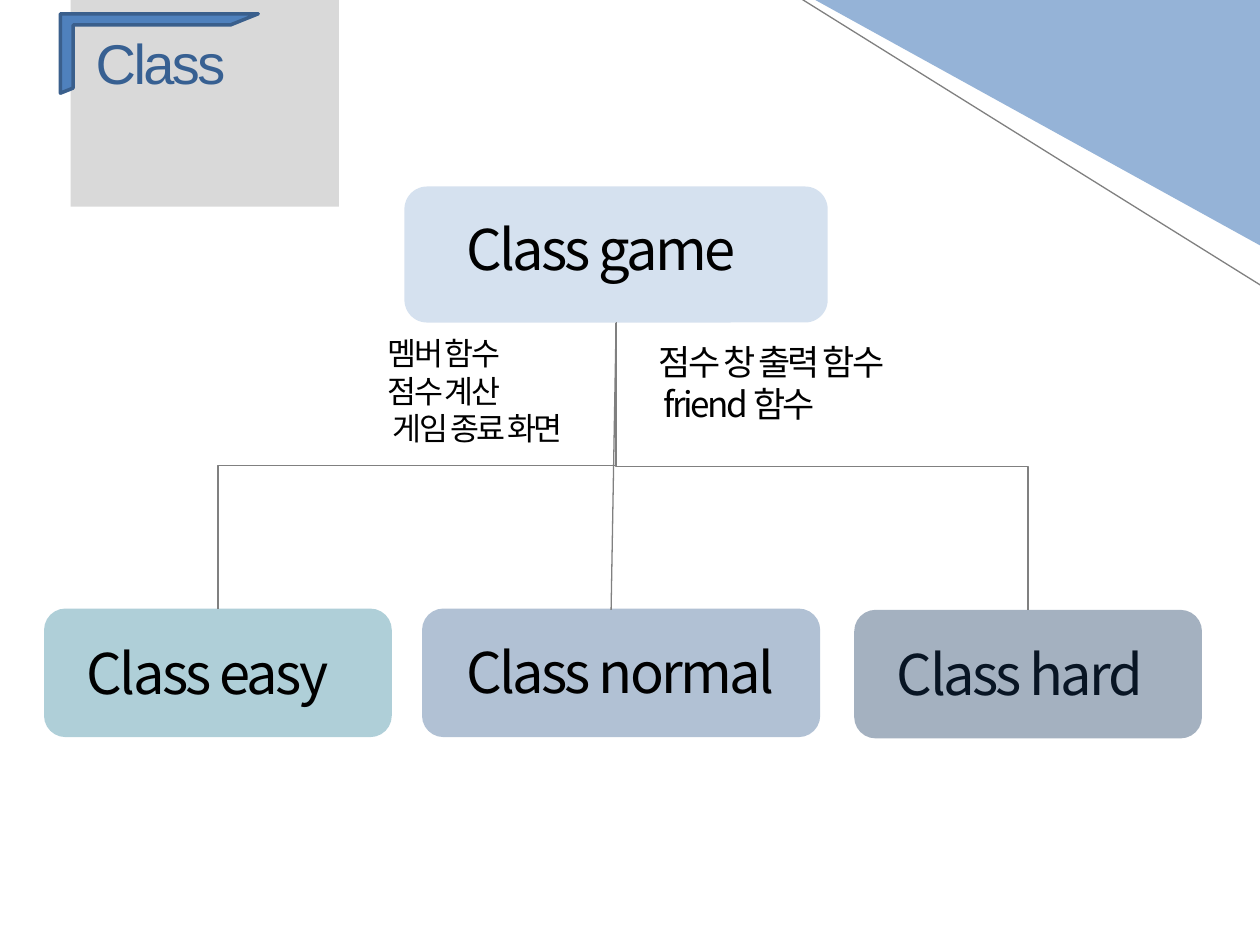
from lxml.etree import SubElement
from pptx import Presentation
from pptx.dml.color import RGBColor
from pptx.enum.shapes import MSO_CONNECTOR as Link, MSO_SHAPE as Shape
from pptx.enum.text import MSO_ANCHOR, MSO_AUTO_SIZE, PP_ALIGN
from pptx.oxml import parse_xml
from pptx.oxml.ns import nsdecls, qn
from pptx.util import Inches, Pt

COLORS = {
    "corner": "95B3D7", "game": "95B3D7", "easy": "31859C", "normal": "376092",
    "hard": "17375E", "title": "376092", "title_fill": "D9D9D9",
    "frame": "4F81BD", "frame_line": "3A5F8C", "link": "808080", "text": "000000",
}
KOREAN = "Noto Sans CJK KR"
OUTLINE = (f'<a:ln {nsdecls("a")} w="9525"><a:solidFill><a:srgbClr val="000000">'
           '<a:alpha val="20000"/></a:srgbClr></a:solidFill></a:ln>')


def write(frame, lines, size, font, color):
    """Fill a text frame with (text, indent in inches) lines in tight, outlined type."""
    frame.word_wrap = True
    frame.auto_size = MSO_AUTO_SIZE.SHAPE_TO_FIT_TEXT
    for number, (text, indent) in enumerate(lines):
        para = frame.add_paragraph() if number else frame.paragraphs[0]
        para.alignment = PP_ALIGN.LEFT
        if indent:
            para._p.get_or_add_pPr().set("marL", str(Inches(indent)))
        span = para.add_run()
        span.text = text
        span.font.size = Pt(size)
        span.font.name = font
        span.font.color.rgb = RGBColor.from_string(COLORS[color])
        props = span._r.get_or_add_rPr()
        props.set("spc", "-150")
        props.insert(0, parse_xml(OUTLINE))
        SubElement(props, qn("a:ea")).set("typeface", font)


def style_link(link):
    link.line.color.rgb = RGBColor.from_string(COLORS["link"])
    link.line.width = Pt(0.75)
    SubElement(link._element.spPr, qn("a:effectLst"))


deck = Presentation()
deck.slide_width, deck.slide_height = Inches(10), Inches(7.5)
page = deck.slides.add_slide(deck.slide_layouts[5])
shapes = page.shapes

# Title
title = shapes.title
title.left, title.top = Inches(0.56), Inches(0.17)
title.width, title.height = Inches(2.13), Inches(0.64)
title.fill.solid()
title.fill.fore_color.rgb = RGBColor.from_string(COLORS["title_fill"])
title.text_frame.vertical_anchor = MSO_ANCHOR.MIDDLE
title.text_frame.margin_left = Inches(0.2)
write(title.text_frame, [("Class", 0)], 32, "Arial", "title")

frame = shapes.add_shape(Shape.HALF_FRAME, Inches(0.48), Inches(0.11), Inches(1.57), Inches(0.63))
frame.adjustments[0], frame.adjustments[1] = 0.14, 0.16
frame.shadow.inherit = False
frame.fill.solid()
frame.fill.fore_color.rgb = RGBColor.from_string(COLORS["frame"])
frame.line.color.rgb = RGBColor.from_string(COLORS["frame_line"])
frame.line.width = Pt(2)

# Corner decoration
corner = shapes.add_shape(Shape.RIGHT_TRIANGLE, Inches(6.47), 0, Inches(3.57), Inches(1.97))
corner.shadow.inherit = False
corner.fill.solid()
corner.fill.fore_color.rgb = RGBColor.from_string(COLORS["corner"])
corner.line.fill.background()
corner._element.spPr.xfrm.set("flipH", "1")
corner._element.spPr.xfrm.set("flipV", "1")
style_link(shapes.add_connector(
    Link.STRAIGHT, Inches(6.07), Inches(-0.19), Inches(10.24), Inches(2.41)))

# Class boxes: name, box left, top, width, height, label left, top, width
classes = [
    ("game", 3.21, 1.48, 3.36, 1.08, 3.6, 1.65, 2.51),
    ("easy", 0.35, 4.83, 2.76, 1.02, 0.59, 5.02, 2.2),
    ("normal", 3.35, 4.83, 3.16, 1.02, 3.6, 5.01, 2.72),
    ("hard", 6.78, 4.84, 2.76, 1.02, 7.02, 5.03, 2.2),
]
boxes = {}
for name, left, top, width, height, label_left, label_top, label_width in classes:
    box = shapes.add_shape(
        Shape.ROUNDED_RECTANGLE, Inches(left), Inches(top), Inches(width), Inches(height))
    box.shadow.inherit = False
    box.fill.solid()
    box.fill.fore_color.rgb = RGBColor.from_string(COLORS[name])
    color = box._element.spPr.find(qn("a:solidFill"))[0]
    SubElement(color, qn("a:alpha")).set("val", "39000")
    box.line.fill.background()
    boxes[name] = box
    label = shapes.add_textbox(
        Inches(label_left), Inches(label_top), Inches(label_width), Inches(0.64))
    write(label.text_frame, [(f"Class {name}", 0)], 32, KOREAN, "text")

# The tint of the last box lies over its label
label._element.addnext(boxes["hard"]._element)

# Links from the base class
trunk = shapes.add_connector(Link.STRAIGHT, Inches(4.89), Inches(2.56), Inches(4.85), Inches(4.84))
trunk.begin_connect(boxes["game"], 2)
style_link(trunk)

start_x, start_y = 4.89, 2.56
for end_x, end_y in [(1.73, 4.83), (8.16, 4.84)]:
    # An elbow that starts downwards is a sideways one turned by a quarter
    drop, reach = end_y - start_y, abs(end_x - start_x)
    left = (start_x + end_x - drop) / 2
    top = (start_y + end_y - reach) / 2
    elbow = shapes.add_connector(
        Link.ELBOW, Inches(left), Inches(top), Inches(left + drop), Inches(top + reach))
    turn = elbow._element.spPr.xfrm
    if end_x < start_x:
        turn.set("rot", str(90 * 60000))
    else:
        turn.set("rot", str(270 * 60000))
        turn.set("flipH", "1")
    style_link(elbow)

# Function notes
notes = [
    (2.98, 2.6, 1.89, 1.01, 18, [("멤버 함수", 0), ("점수 계산", 0), ("게임 종료 화면", 0.04)]),
    (5.13, 2.65, 2.24, 0.77, 20, [("점수 창 출력 함수", 0), ("friend 함수", 0.04)]),
]
for left, top, width, height, size, lines in notes:
    note = shapes.add_textbox(Inches(left), Inches(top), Inches(width), Inches(height))
    write(note.text_frame, lines, size, KOREAN, "text")

deck.save("out.pptx")
